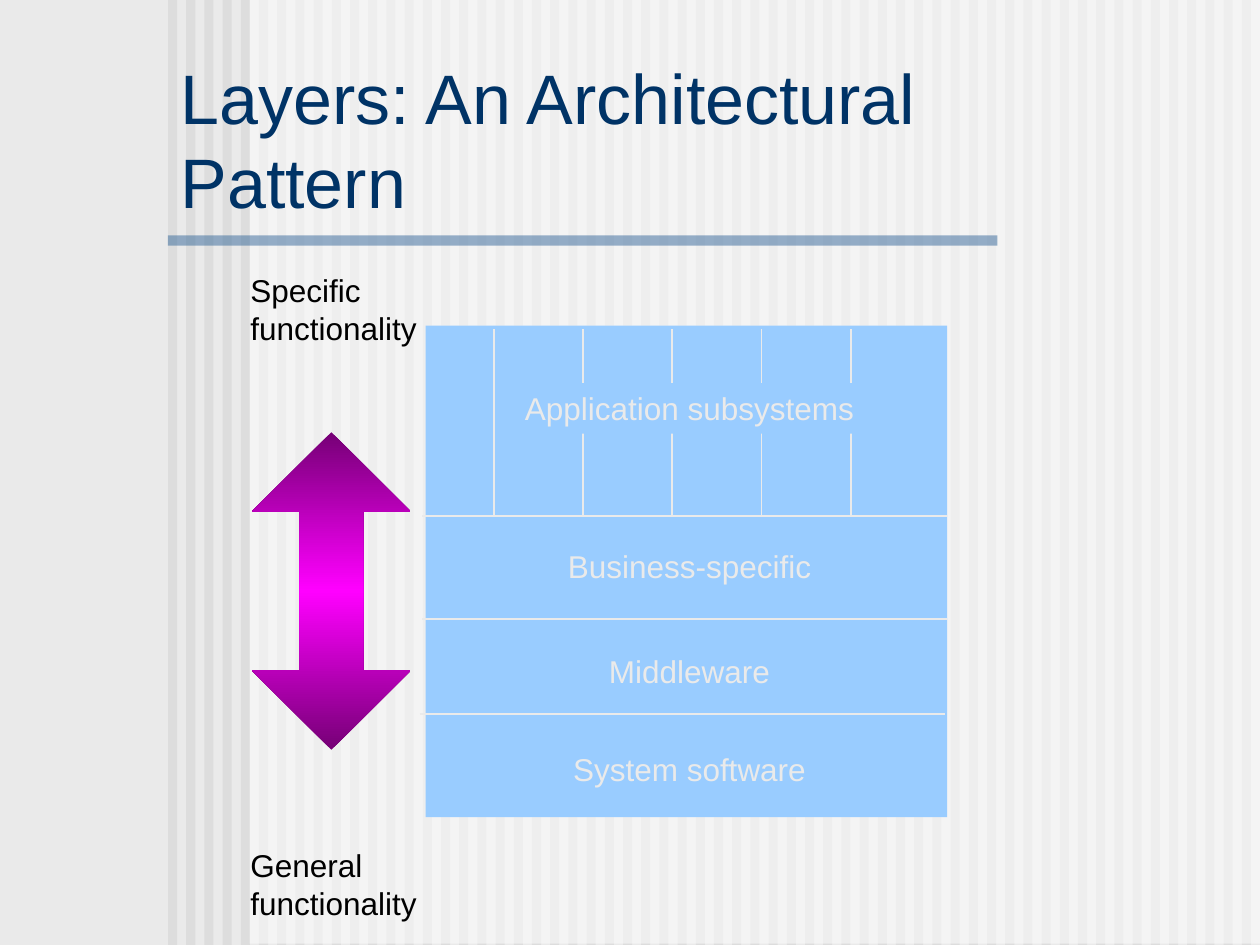
from copy import deepcopy
from lxml.etree import SubElement
from pptx import Presentation
from pptx.dml.color import RGBColor
from pptx.enum.shapes import MSO_CONNECTOR as CONN, MSO_SHAPE as SHAPE
from pptx.enum.text import MSO_ANCHOR as ANCHOR, MSO_AUTO_SIZE as FIT, PP_ALIGN as ALIGN
from pptx.oxml.ns import qn
from pptx.util import Pt

COLORS = {
    "background": "EAEAEA", "stripe": "DDDDDD", "panel": "FFFFFF", "rule": "336699",
    "title": "003366", "text": "000000", "layer": "99CCFF", "line": "EAEAEA",
    "arrow_end": "760076", "arrow_middle": "FF00FF",
}


def color(name):
    return RGBColor.from_string(COLORS[name])


def apply(target, formats):
    for name, value in formats.items():
        setattr(target, name, value)


def add_block(s, box, fill, alpha=None, kind=SHAPE.RECTANGLE):
    sp = s.shapes.add_shape(kind, *map(Pt, box))
    sp.shadow.inherit = False
    sp.line.fill.background()
    sp.fill.solid()
    sp.fill.fore_color.rgb = color(fill)
    if alpha:
        clr = sp._element.spPr.find(qn("a:solidFill"))[0]
        SubElement(clr, qn("a:alpha"), val=str(alpha * 1000))
    return sp


def write(sp, text, size, ink, align=ALIGN.LEFT, **frame):
    tf = sp.text_frame
    apply(tf, frame)
    p = tf.paragraphs[0]
    p.alignment = align
    r = p.add_run()
    r.text = text
    apply(r.font, {"name": "Arial", "size": Pt(size), "bold": False})
    r.font.color.rgb = color(ink)


def add_title(s, text):
    sp = s.shapes.title
    apply(sp, {"left": Pt(96), "top": Pt(77.76), "width": Pt(528), "height": Pt(52.8)})
    write(sp, text, 40, "title", vertical_anchor=ANCHOR.BOTTOM,
          word_wrap=True, auto_size=FIT.NONE)


def add_note(s, text, top):
    sp = s.shapes.add_textbox(Pt(136), Pt(top), Pt(120), Pt(50.4))
    write(sp, text, 18, "text", word_wrap=True, auto_size=FIT.SHAPE_TO_FIT_TEXT)


def add_layer_label(s, text, top, width):
    sp = add_block(s, (394 - width / 2, top, width, 28.8), "layer")
    write(sp, text, 18, "line", ALIGN.CENTER, vertical_anchor=ANCHOR.TOP,
          word_wrap=False, auto_size=FIT.SHAPE_TO_FIT_TEXT)


def add_line(s, *ends):
    cn = s.shapes.add_connector(CONN.STRAIGHT, *map(Pt, ends))
    cn.line.width = Pt(1)
    cn.line.color.rgb = color("line")
    SubElement(cn._element.spPr, qn("a:effectLst"))


def add_range_arrow(s):
    sp = add_block(s, (144, 247, 90.7, 181.4), "arrow_end", kind=SHAPE.UP_DOWN_ARROW)
    sp.adjustments[0], sp.adjustments[1] = 0.5, 0.4
    sp.fill.gradient()
    sp.fill.gradient_angle = 90
    stops = sp._element.spPr.find(qn("a:gradFill")).find(qn("a:gsLst"))
    stops.insert(1, deepcopy(stops[0]))
    names = ("arrow_end", "arrow_middle", "arrow_end")
    for stop, name, position in zip(sp.fill.gradient_stops, names, (0, 0.5, 1)):
        stop.color.rgb = color(name)
        stop.position = position


def add_backdrop(s):
    s.background.fill.solid()
    s.background.fill.fore_color.rgb = color("background")
    for i in range(60):
        add_block(s, (96 + 10.4 * i, 0, 5.2, 540), "stripe")
    add_block(s, (142.6, 0, 577.4, 539.3), "panel", 50)
    add_block(s, (96, 134.5, 474, 5.8), "rule", 50)


def add_layers(s):
    add_block(s, (243.2, 186, 298, 281), "layer")
    for left, y in ((241.2, 295), (241.2, 353.7), (240, 407.8)):
        add_line(s, left, y, left + 300, y)
    for i in range(5):
        x = 282.2 + 51 * i
        add_line(s, x, 188, x, 295)
    for text, top, width in (
        ("Application subsystems", 219, 202.3),
        ("Business-specific", 309.2, 153.4),
        ("Middleware", 369, 106.6),
        ("System software", 425, 147.6),
    ):
        add_layer_label(s, text, top, width)


def main():
    prs = Presentation()
    apply(prs, {"slide_width": Pt(720), "slide_height": Pt(540)})
    s = prs.slides.add_slide(prs.slide_layouts[5])
    add_backdrop(s)
    add_title(s, "Layers: An Architectural Pattern")
    title = s.shapes.title._element
    title.getparent().append(title)
    add_range_arrow(s)
    add_note(s, "General functionality", 480.2)
    add_note(s, "Specific functionality", 151.2)
    add_layers(s)
    prs.save("out.pptx")


if __name__ == "__main__":
    main()
